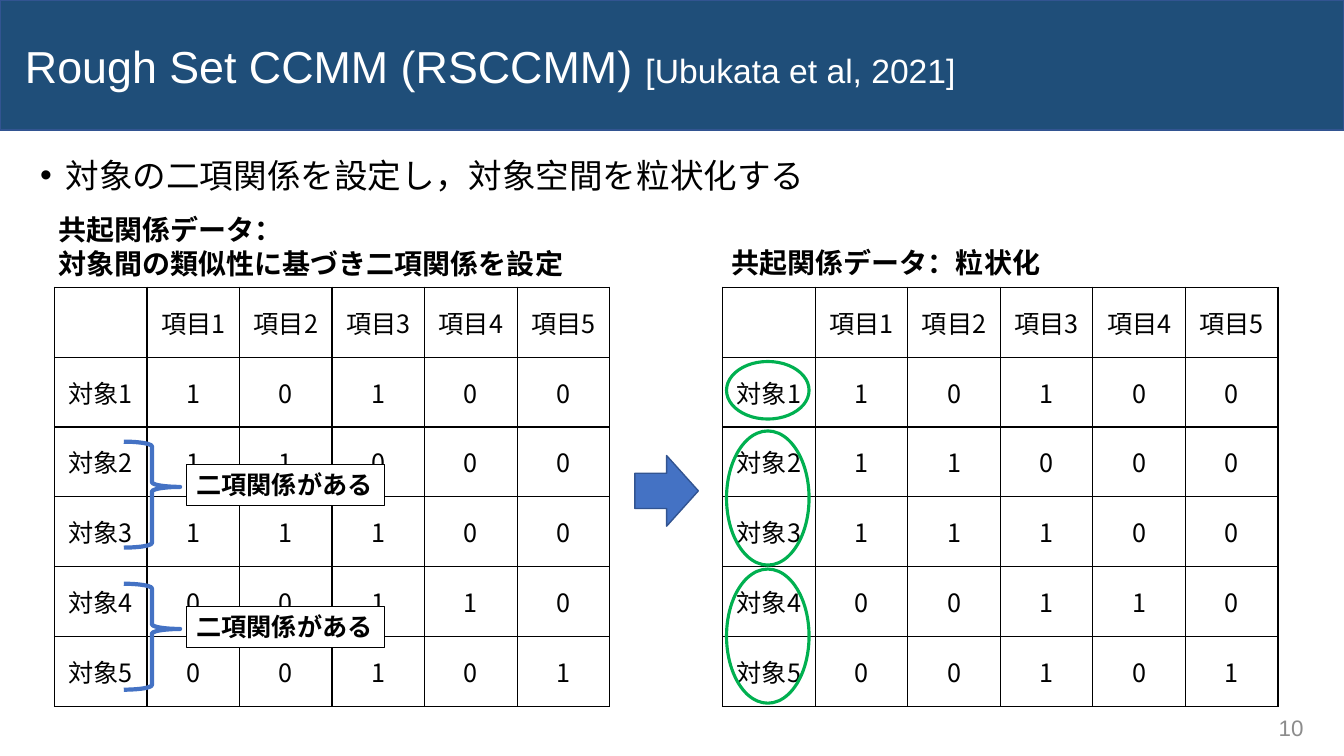
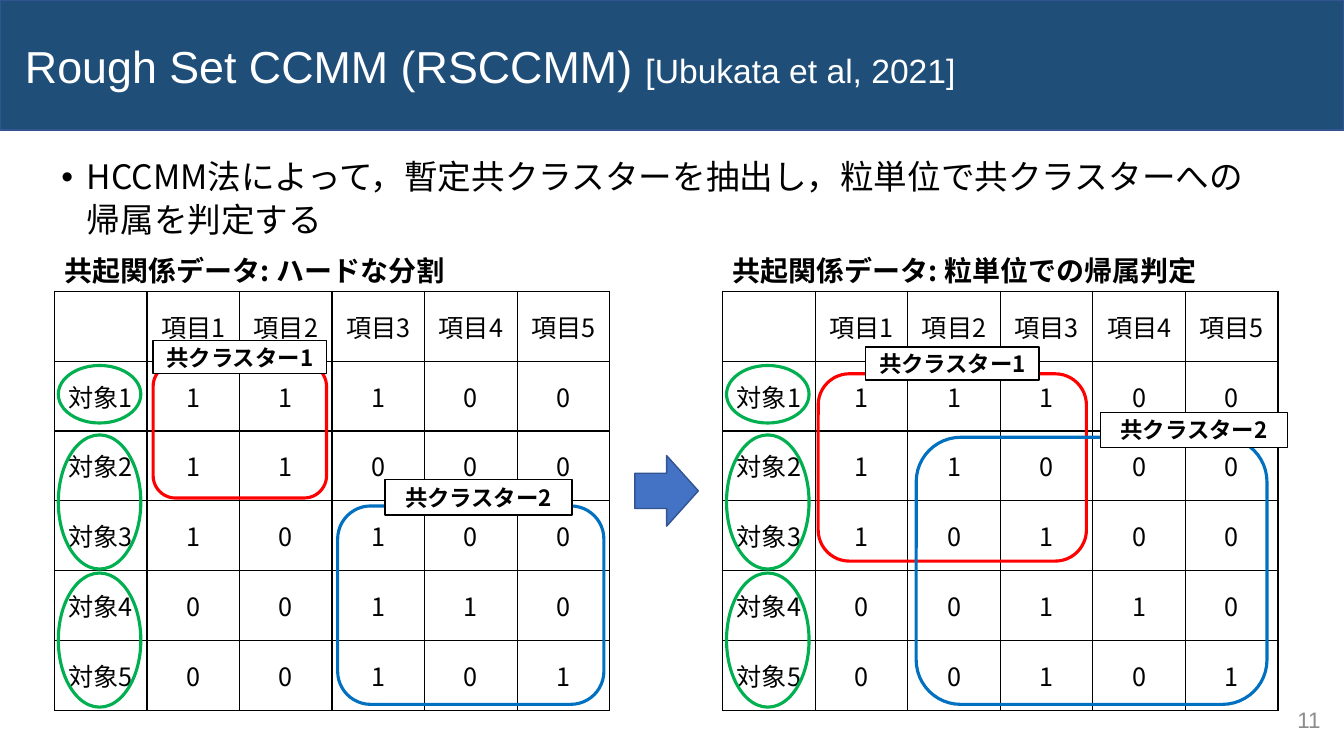
from lxml import etree
from pptx import Presentation
from pptx.dml.color import RGBColor
from pptx.enum.shapes import MSO_SHAPE
from pptx.enum.text import MSO_ANCHOR, PP_ALIGN
from pptx.oxml.ns import qn
from pptx.util import Cm, Pt

RECTANGLE, ROUNDED = MSO_SHAPE.RECTANGLE, MSO_SHAPE.ROUNDED_RECTANGLE
OVAL, BRACE, ARROW = MSO_SHAPE.OVAL, MSO_SHAPE.RIGHT_BRACE, MSO_SHAPE.RIGHT_ARROW
TOP, MIDDLE = MSO_ANCHOR.TOP, MSO_ANCHOR.MIDDLE
LEFT, CENTER, RIGHT = PP_ALIGN.LEFT, PP_ALIGN.CENTER, PP_ALIGN.RIGHT

BLACK = RGBColor(0x00, 0x00, 0x00)
WHITE = RGBColor(0xFF, 0xFF, 0xFF)
GRAY = RGBColor(0x8C, 0x8C, 0x8C)
NAVY = RGBColor(0x1F, 0x4E, 0x79)
BLUE = RGBColor(0x44, 0x72, 0xC4)
DARK_BLUE = RGBColor(0x32, 0x54, 0x91)
GREEN = RGBColor(0x00, 0xB0, 0x50)
RED = RGBColor(0xFF, 0x00, 0x00)
CLUSTER_BLUE = RGBColor(0x00, 0x70, 0xC0)

LATIN_FONT = "Arial"
JAPANESE_FONT = "Noto Sans CJK JP"

# All lengths below are centimetres
PAGE_WIDTH, PAGE_HEIGHT, BAND_HEIGHT = 33.87, 19.05, 3.28
TABLE_LEFTS = (1.37, 18.21)
TABLE_WIDTH, TABLE_HEIGHT = 14.0, 10.56
GRANULES = ((1.87, 1.45), (3.62, 3.38), (7.1, 3.38))  # top, height in table

RELATION_ROWS = ("10100", "11000", "11100", "00110", "00101")
CLUSTER_ROWS = ("11100", "11000", "10100", "00110", "00101")


def lengths(box):
    return [Cm(value) for value in box]


def write_text(frame, lines, size=18, color=BLACK, font=JAPANESE_FONT, bold=False,
               align=LEFT, anchor=TOP, wrap=True, spacing=None, bullet=False):
    """Fill a text frame; a line is a string or a list of (text, size) spans."""
    frame.word_wrap = wrap
    frame.vertical_anchor = anchor
    for index, line in enumerate(lines):
        para = frame.add_paragraph() if index else frame.paragraphs[0]
        para.alignment = align
        if spacing is not None:
            para.line_spacing = spacing
        if bullet:
            properties = para._p.get_or_add_pPr()
            properties.set("marL", str(Cm(0.64)))
            properties.set("indent", str(-Cm(0.64)))
            etree.SubElement(properties, qn("a:buFont"), typeface=LATIN_FONT)
            etree.SubElement(properties, qn("a:buChar"), char="•")
        spans = [(line, size)] if isinstance(line, str) else line
        for text, span_size in spans:
            span = para.add_run()
            span.text = text
            span.font.size = Pt(span_size)
            span.font.bold = bold
            span.font.color.rgb = color
            span.font.name = font
            etree.SubElement(span._r.get_or_add_rPr(), qn("a:ea"), typeface=font)


def add_text(page, box, lines, **style):
    write_text(page.shapes.add_textbox(*lengths(box)).text_frame, lines, **style)


def add_figure(page, kind, box, line, width, fill=None):
    shape = page.shapes.add_shape(kind, *lengths(box))
    shape.shadow.inherit = False
    shape.line.color.rgb = line
    shape.line.width = Pt(width)
    if fill is None:
        shape.fill.background()
    else:
        shape.fill.solid()
        shape.fill.fore_color.rgb = fill
    return shape


def inside(origin, box):
    """Move a box given relative to a table's corner onto the page."""
    return (origin[0] + box[0], origin[1] + box[1], box[2], box[3])


def add_borders(cell):
    properties = cell._tc.get_or_add_tcPr()
    for index, side in enumerate(("lnL", "lnR", "lnT", "lnB")):
        border = etree.Element(qn("a:" + side), w=str(Pt(1)))
        fill = etree.SubElement(border, qn("a:solidFill"))
        etree.SubElement(fill, qn("a:srgbClr"), val=str(BLACK))
        properties.insert(index, border)


def add_matrix(page, origin, rows):
    """Table of objects (rows) against items (columns)."""
    items = range(1, len(rows[0]) + 1)
    grid = [[""] + [f"項目{item}" for item in items]]
    grid += [[f"対象{number}", *row] for number, row in enumerate(rows, 1)]
    box = (*origin, TABLE_WIDTH, TABLE_HEIGHT)
    table = page.shapes.add_table(len(grid), len(grid[0]), *lengths(box)).table
    table.first_row = table.horz_banding = False
    for column in table.columns:
        column.width = Cm(TABLE_WIDTH / len(grid[0]))
    for row, values in zip(table.rows, grid):
        row.height = Cm(TABLE_HEIGHT / len(grid))
        for cell, value in zip(row.cells, values):
            cell.fill.background()
            cell.margin_left = cell.margin_right = Cm(0.1)
            cell.vertical_anchor = MIDDLE
            if value:
                write_text(cell.text_frame, [value], align=CENTER, anchor=MIDDLE)
            add_borders(cell)


def add_granules(page, origin):
    for top, height in GRANULES:
        add_figure(page, OVAL, inside(origin, (0.1, top, 2.08, height)), GREEN, 2.25)


def add_relation(page, origin, top):
    """Brace over two rows with its label."""
    brace = add_figure(page, BRACE, inside(origin, (1.75, top, 1.42, 2.67)), BLUE, 3)
    brace.adjustments[0], brace.adjustments[1] = 0.083, 0.427
    label = add_figure(page, RECTANGLE, inside(origin, (3.33, top + 0.58, 5, 1.02)),
                       BLACK, 0.75, WHITE)
    write_text(label.text_frame, ["二項関係がある"], bold=True)


def add_clusters(page, origin, frames, tags):
    """Two cluster outlines, then the tags that cover their edges."""
    for box, color in zip(frames, (RED, CLUSTER_BLUE)):
        add_figure(page, ROUNDED, inside(origin, box), color, 2.25)
    for number, box in enumerate(tags, 1):
        tag = add_figure(page, RECTANGLE, inside(origin, box), BLACK, 1, WHITE)
        write_text(tag.text_frame, [f"共クラスター{number}"], size=16, bold=True,
                   align=CENTER, anchor=MIDDLE, wrap=False)


def add_heading(page, left, top, *lines):
    add_text(page, (left, top, 15, 1.12 * len(lines)), lines, size=20, bold=True)


def add_page(deck, number, number_corner):
    """Blank page with title band, page number and central arrow."""
    page = deck.slides.add_slide(deck.slide_layouts[6])
    add_figure(page, RECTANGLE, (0, 0, PAGE_WIDTH, BAND_HEIGHT), DARK_BLUE, 1, NAVY)
    title = [("Rough Set CCMM (RSCCMM) ", 32), ("[Ubukata et al, 2021]", 24)]
    add_text(page, (0.38, 0.2, 33.49, 3.08), [title], color=WHITE, font=LATIN_FONT,
             anchor=MIDDLE, spacing=0.9)
    add_text(page, (*number_corner, 7.62, 1.02), [str(number)], size=16, color=GRAY,
             font=LATIN_FONT, align=RIGHT, anchor=MIDDLE)
    add_figure(page, ARROW, (16, 11.48, 1.6, 1.78), DARK_BLUE, 1, BLUE)
    return page


def build_granulation(deck):
    page = add_page(deck, 10, (25.48, 17.83))
    add_text(page, (0.76, 3.89, 32.36, 1.3),
             ["対象の二項関係を設定し，対象空間を粒状化する"],
             size=24, spacing=0.9, bullet=True)
    left, right = [(edge, 7.24) for edge in TABLE_LEFTS]
    # Binary relations
    add_heading(page, 1.22, 5.23, "共起関係データ：",
                "対象間の類似性に基づき二項関係を設定")
    add_matrix(page, left, RELATION_ROWS)
    for top in (3.89, 7.47):
        add_relation(page, left, top)
    # Granules
    add_heading(page, 18.19, 6.05, "共起関係データ：粒状化")
    add_matrix(page, right, RELATION_ROWS)
    add_granules(page, right)


def build_assignment(deck):
    page = add_page(deck, 11, (25.91, 17.63))
    add_text(page, (1.3, 3.76, 30.91, 2.24),
             ["HCCMM法によって，暫定共クラスターを抽出し，"
              "粒単位で共クラスターへの帰属を判定する"],
             size=24, spacing=Pt(30.4), bullet=True)
    panels = (
        ("ハードな分割",
         ((2.49, 1.83, 4.37, 3.38), (7.14, 5.41, 6.71, 5)),
         ((2.49, 1.24, 4.37, 0.84), (8.33, 4.75, 4.72, 0.89))),
        ("粒単位での帰属判定",
         ((2.41, 2.08, 6.76, 4.72), (4.88, 3.68, 8.84, 6.73)),
         ((3.61, 1.4, 4.37, 0.84), (9.52, 3.05, 4.72, 0.89))),
    )
    for left, (heading, frames, tags) in zip(TABLE_LEFTS, panels):
        origin = (left, 7.34)
        add_heading(page, left, 6.26, f"共起関係データ: {heading}")
        add_matrix(page, origin, CLUSTER_ROWS)
        add_clusters(page, origin, frames, tags)
        add_granules(page, origin)


def main():
    deck = Presentation()
    deck.slide_width, deck.slide_height = Cm(PAGE_WIDTH), Cm(PAGE_HEIGHT)
    build_granulation(deck)
    build_assignment(deck)
    deck.save("out.pptx")


if __name__ == "__main__":
    main()
